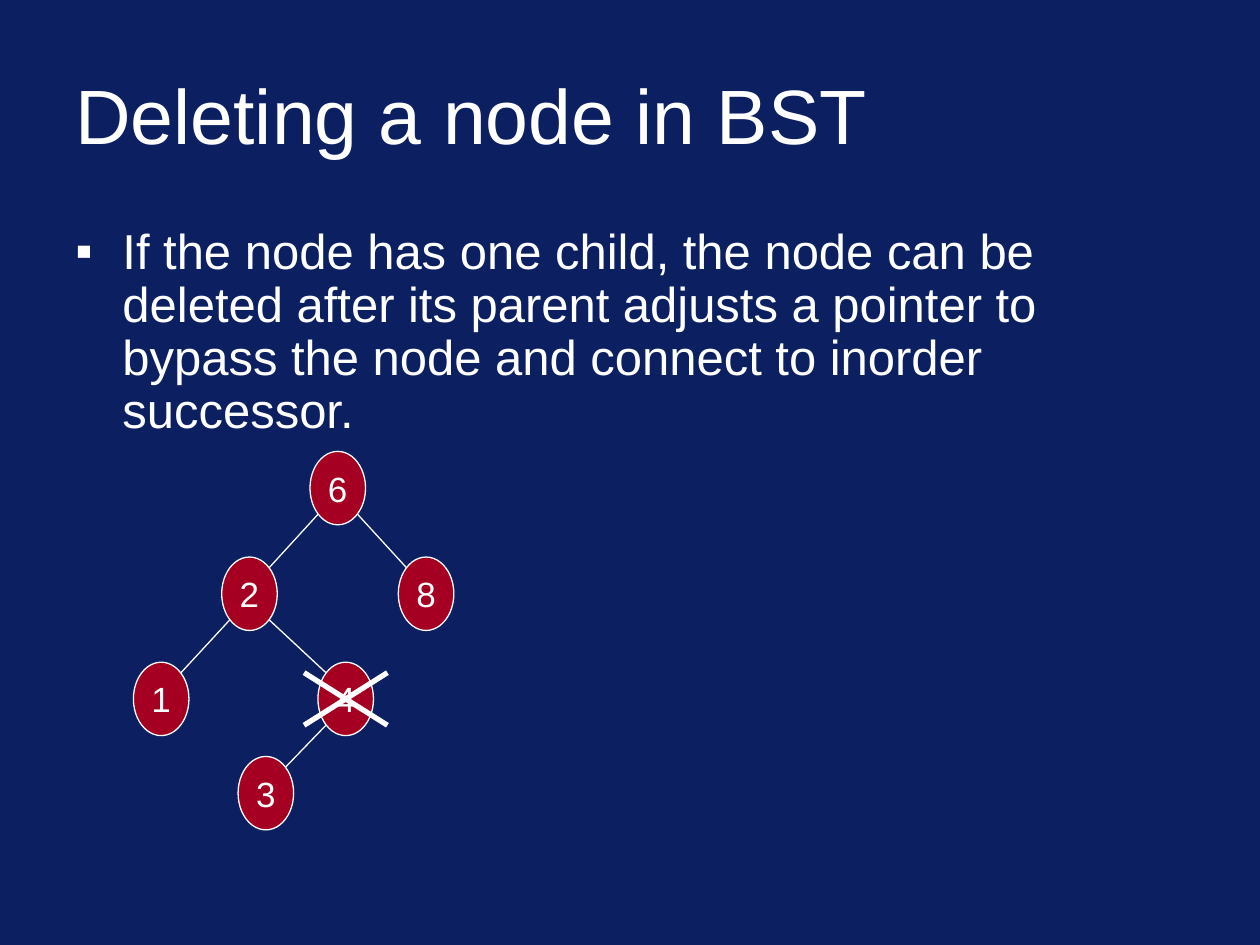
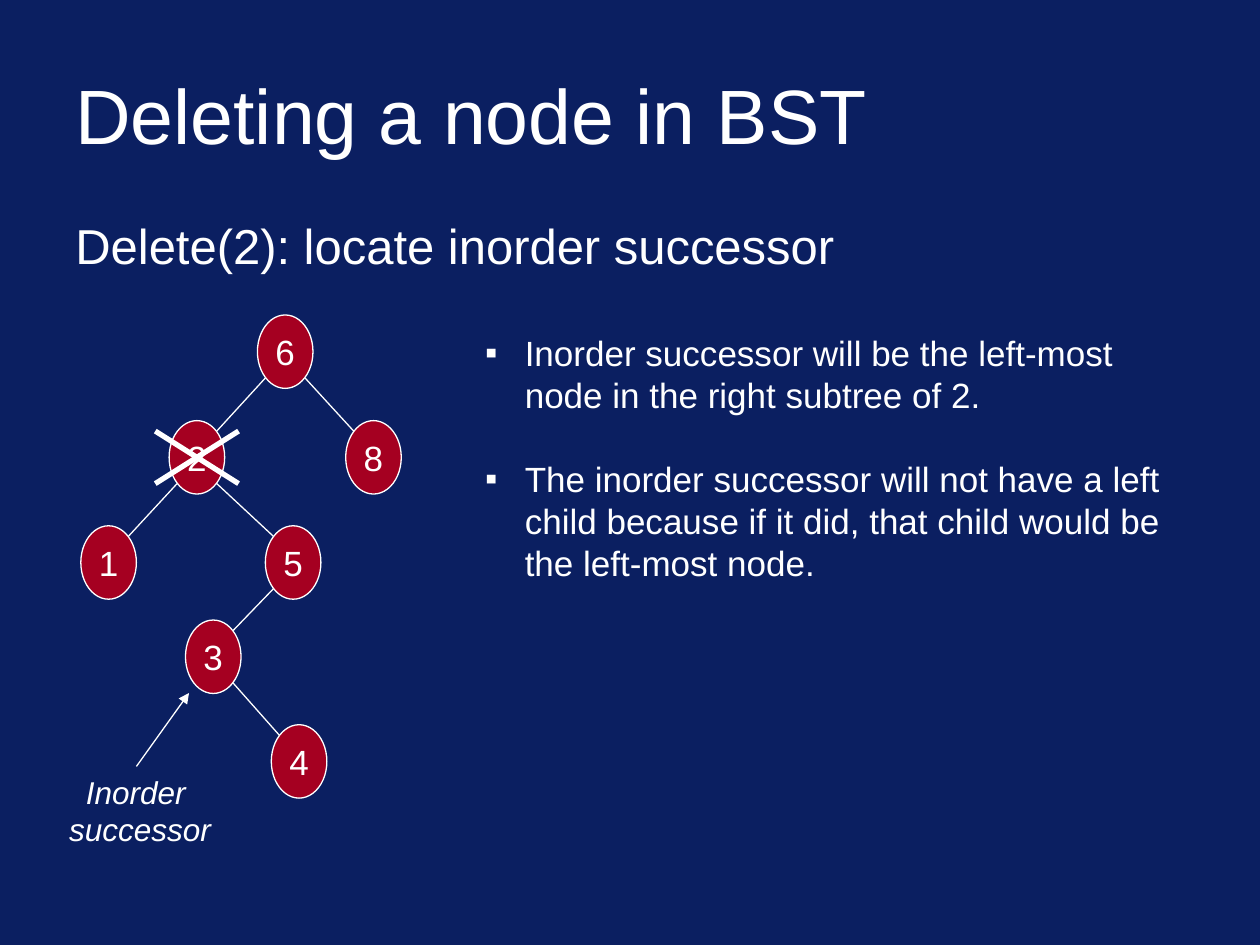
"""Builds two slides on deleting a node from a binary search tree."""
from dataclasses import dataclass

import lxml.etree
import pptx
import pptx.dml.color
import pptx.enum.shapes
import pptx.enum.text
import pptx.oxml.ns
import pptx.util

Cm = pptx.util.Cm
Pt = pptx.util.Pt
ALIGN = pptx.enum.text.PP_ALIGN
ANCHOR = pptx.enum.text.MSO_ANCHOR


@dataclass(frozen=True)
class Theme:
    font: str = "Arial"
    navy: str = "0B1F61"
    red: str = "A50021"
    white: str = "FFFFFF"
    title: int = 44
    body: int = 28
    note: int = 20
    label: int = 18
    thin: float = 0.75
    thick: float = 3
    node_width: float = 1.12
    node_height: float = 1.48
    edge_dx: float = 0.4
    edge_dy: float = 0.53
    cross_dx: float = 0.84


def rgb(colour):
    return pptx.dml.color.RGBColor.from_string(colour)


def apply(target, formats):
    for name, value in formats.items():
        setattr(target, name, value)


def add_child(parent, tag, **attributes):
    return lxml.etree.SubElement(parent, pptx.oxml.ns.qn(tag), attributes)


class Deck:
    def __init__(self, theme):
        self.theme = theme
        self.presentation = pptx.Presentation()
        apply(self.presentation, {"slide_width": Cm(25.4), "slide_height": Cm(19.05)})
        self.slide = None

    def add_slide(self, title):
        self.slide = self.presentation.slides.add_slide(self.presentation.slide_layouts[6])
        self.slide.background.fill.solid()
        self.slide.background.fill.fore_color.rgb = rgb(self.theme.navy)
        self.text((1.27, 1.02, 22.86, 2.54), [title], self.theme.title, anchor=ANCHOR.MIDDLE)

    def set_paragraph(self, paragraph, text, size, italic=False, **formats):
        paragraph.text = text
        apply(paragraph, formats)
        apply(paragraph.font, {"name": self.theme.font, "size": Pt(size), "italic": italic})
        paragraph.font.color.rgb = rgb(self.theme.white)

    def bullet(self, paragraph, indent):
        properties = paragraph._p.get_or_add_pPr()
        properties.set("marL", str(Cm(indent)))
        properties.set("indent", str(-Cm(indent)))
        colour = add_child(properties, "a:buClr")
        add_child(colour, "a:srgbClr", val=self.theme.white)
        add_child(properties, "a:buFont", typeface=self.theme.font)
        add_child(properties, "a:buChar", char="▪")

    def text(self, box, paragraphs, size, anchor=ANCHOR.TOP, indent=None, gap=0, **formats):
        frame = self.slide.shapes.add_textbox(*map(Cm, box)).text_frame
        apply(frame, {"word_wrap": True, "vertical_anchor": anchor})
        for index, content in enumerate(paragraphs):
            paragraph = frame.add_paragraph() if index else frame.paragraphs[0]
            if indent:
                self.bullet(paragraph, indent)
            spacing = {"space_before": Pt(gap)} if index else {}
            self.set_paragraph(paragraph, content, size, **spacing, **formats)

    def line(self, start, end, width, arrow=False):
        connector = self.slide.shapes.add_connector(
            pptx.enum.shapes.MSO_CONNECTOR.STRAIGHT, *map(Cm, (*start, *end)))
        connector.line.color.rgb = rgb(self.theme.white)
        connector.line.width = Pt(width)
        properties = connector._element.spPr
        if arrow:
            add_child(properties.find(pptx.oxml.ns.qn("a:ln")), "a:tailEnd", type="triangle")
        add_child(properties, "a:effectLst")

    def node(self, centre, key):
        theme = self.theme
        width, height = theme.node_width, theme.node_height
        left, top = centre[0] - width / 2, centre[1] - height / 2
        oval = self.slide.shapes.add_shape(
            pptx.enum.shapes.MSO_SHAPE.OVAL, *map(Cm, (left, top, width, height)))
        oval.shadow.inherit = False
        oval.fill.solid()
        oval.fill.fore_color.rgb = rgb(theme.red)
        oval.line.color.rgb = rgb(theme.white)
        oval.line.width = Pt(theme.thin)
        margins = dict.fromkeys(("margin_left", "margin_top", "margin_right", "margin_bottom"), 0)
        apply(oval.text_frame, {"word_wrap": False, "vertical_anchor": ANCHOR.MIDDLE, **margins})
        self.set_paragraph(oval.text_frame.paragraphs[0], str(key), theme.note,
                           alignment=ALIGN.CENTER)

    def edge(self, parent, child):
        dx, dy = self.theme.edge_dx, self.theme.edge_dy
        side = dx if child[0] > parent[0] else -dx
        self.line((parent[0] + side, parent[1] + dy), (child[0] - side, child[1] - dy),
                  self.theme.thin)

    def cross_out(self, centre):
        x, y = centre
        dx, dy = self.theme.cross_dx, self.theme.edge_dy
        for rise in (dy, -dy):
            self.line((x - dx, y + rise), (x + dx, y - rise), self.theme.thick)

    def tree(self, root, offsets, parents, deleted):
        centres = {key: (root[0] + dx, root[1] + dy) for key, (dx, dy) in offsets.items()}
        for child, parent in parents.items():
            self.edge(centres[parent], centres[child])
        for key, centre in centres.items():
            self.node(centre, key)
        self.cross_out(centres[deleted])


def main():
    theme = Theme()
    deck = Deck(theme)
    title = "Deleting a node in BST"
    shared_offsets = {6: (0, 0), 2: (-1.78, 2.13), 8: (1.78, 2.13), 1: (-3.56, 4.25),
                      3: (-1.45, 6.15)}
    shared_parents = {2: 6, 8: 6, 1: 2}
    inner_child = (0.16, 4.25)

    deck.add_slide(title)
    deck.text((1.27, 4.45, 22.86, 4.65), [
        "If the node has one child, the node can be deleted after its parent adjusts "
        "a pointer to bypass the node and connect to inorder successor.",
    ], theme.body, indent=0.95, line_spacing=0.9)
    deck.tree((6.81, 9.84), {**shared_offsets, 4: inner_child},
              {**shared_parents, 4: 2, 3: 4}, deleted=4)

    deck.add_slide(title)
    deck.text((1.27, 4.45, 22.86, 1.27), ["Delete(2): locate inorder successor"],
              theme.body, line_spacing=0.8)
    deck.tree((5.75, 7.09), {**shared_offsets, 5: inner_child, 4: (0.28, 8.26)},
              {**shared_parents, 5: 2, 3: 5, 4: 3}, deleted=2)
    deck.text((0.64, 15.45, 4.37, 1.78), ["Inorder \vsuccessor"], theme.label,
              italic=True, alignment=ALIGN.CENTER)
    deck.line((2.75, 15.45), (3.81, 13.97), theme.thin, arrow=True)
    deck.text((9.53, 6.56, 14.58, 5.33), [
        "Inorder successor will be the left-most node in the right subtree of 2.",
        "The inorder successor will not have a left child because if it did, "
        "that child would be the left-most node.",
    ], theme.note, indent=0.8, gap=24)

    deck.presentation.save("out.pptx")


if __name__ == "__main__":
    main()
